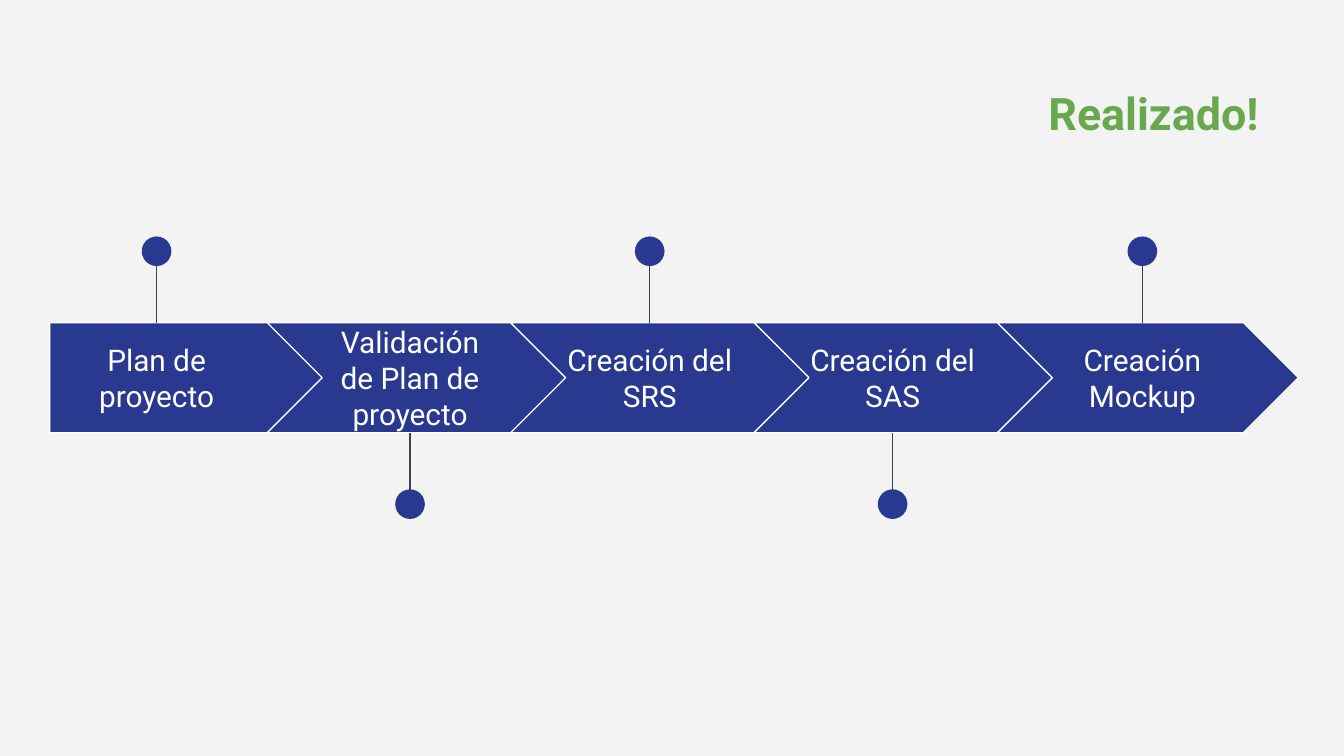
"""Build a slide with a five-step project timeline."""
import pptx
import pptx.util
import pptx.dml.color
import pptx.enum.shapes
import pptx.enum.text
import pptx.oxml.ns
import lxml.etree

Cm = pptx.util.Cm
Pt = pptx.util.Pt
RGB = pptx.dml.color.RGBColor
Kind = pptx.enum.shapes.MSO_SHAPE
Anchor = pptx.enum.text.MSO_ANCHOR

BLUE = RGB(0x2A, 0x39, 0x90)
GREEN = RGB(0x6A, 0xA8, 0x4F)
GRAY = RGB(0x43, 0x43, 0x43)
PALE = RGB(0xF3, 0xF3, 0xF3)
WHITE = RGB(0xFF, 0xFF, 0xFF)

TOP, HIGH = 6.1, 2.08
MID = TOP + HIGH / 2
START, FIRST, PITCH = 0.94, 5.05, 4.6
STEPS = [
    ("Plan de proyecto", 2.96),
    ("Validación de Plan de proyecto", 7.75),
    ("Creación del SRS", 12.28),
    ("Creación del SAS", 16.87),
    ("Creación Mockup", 21.59),
]


class Deck:
    font = "Roboto"
    inset = Cm(0.25)

    def __init__(self, slide):
        self.slide = slide
        fill = slide.background.fill
        fill.solid()
        fill.fore_color.rgb = PALE

    def text(self, frame, words, size, color, anchor, bold=False):
        frame.word_wrap = True
        frame.auto_size = pptx.enum.text.MSO_AUTO_SIZE.NONE
        frame.vertical_anchor = anchor
        frame.margin_left = frame.margin_right = self.inset
        frame.margin_top = frame.margin_bottom = self.inset
        par = frame.paragraphs[0]
        par.alignment = pptx.enum.text.PP_ALIGN.CENTER
        run = par.add_run()
        run.text = words
        font = run.font
        font.name, font.size, font.bold = self.font, Pt(size), bold
        font.color.rgb = color
        return par

    def title(self, words, left, top, width, height):
        box = self.slide.shapes.title
        box.left, box.top = Cm(left), Cm(top)
        box.width, box.height = Cm(width), Cm(height)
        par = self.text(box.text_frame, words, 24, GREEN, Anchor.TOP, True)
        par.line_spacing = 1.15
        par.space_after = Pt(16)

    def shape(self, kind, left, top, width, height, edge=None):
        item = self.slide.shapes.add_shape(
            kind, Cm(left), Cm(top), Cm(width), Cm(height))
        item.shadow.inherit = False
        item.fill.solid()
        item.fill.fore_color.rgb = BLUE
        if edge is None:
            item.line.fill.background()
        else:
            item.line.color.rgb = edge
            item.line.width = Pt(0.75)

    def label(self, words, mid):
        width, height = 3.66, 1.3
        box = self.slide.shapes.add_textbox(
            Cm(mid - width / 2), Cm(MID - height / 2), Cm(width), Cm(height))
        self.text(box.text_frame, words, 16, WHITE, Anchor.MIDDLE)

    def pin(self, mid, side):
        size, reach = 0.56, 2.39
        line = self.slide.shapes.add_connector(
            pptx.enum.shapes.MSO_CONNECTOR.STRAIGHT,
            Cm(mid), Cm(MID + side * reach),
            Cm(mid), Cm(MID + side * HIGH / 2))
        line.line.color.rgb = GRAY
        line.line.width = Pt(0.75)
        lxml.etree.SubElement(
            line._element.spPr, pptx.oxml.ns.qn("a:effectLst"))
        self.shape(Kind.OVAL, mid - size / 2, MID + side * reach - size / 2,
                   size, size)


def main():
    show = pptx.Presentation()
    show.slide_width, show.slide_height = Cm(25.4), Cm(14.29)
    deck = Deck(show.slides.add_slide(show.slide_layouts[5]))
    deck.title("Realizado!", 18.69, 1.22, 6.22, 2.51)
    for num, (words, mid) in enumerate(STEPS):
        if num == 0:
            deck.shape(Kind.PENTAGON, START, TOP, 5.21, HIGH, WHITE)
        else:
            deck.shape(Kind.CHEVRON, FIRST + PITCH * (num - 1), TOP,
                       5.69, HIGH, WHITE)
        deck.label(words, mid)
        deck.pin(mid, 1 if num % 2 else -1)
    show.save("out.pptx")


if __name__ == "__main__":
    main()
